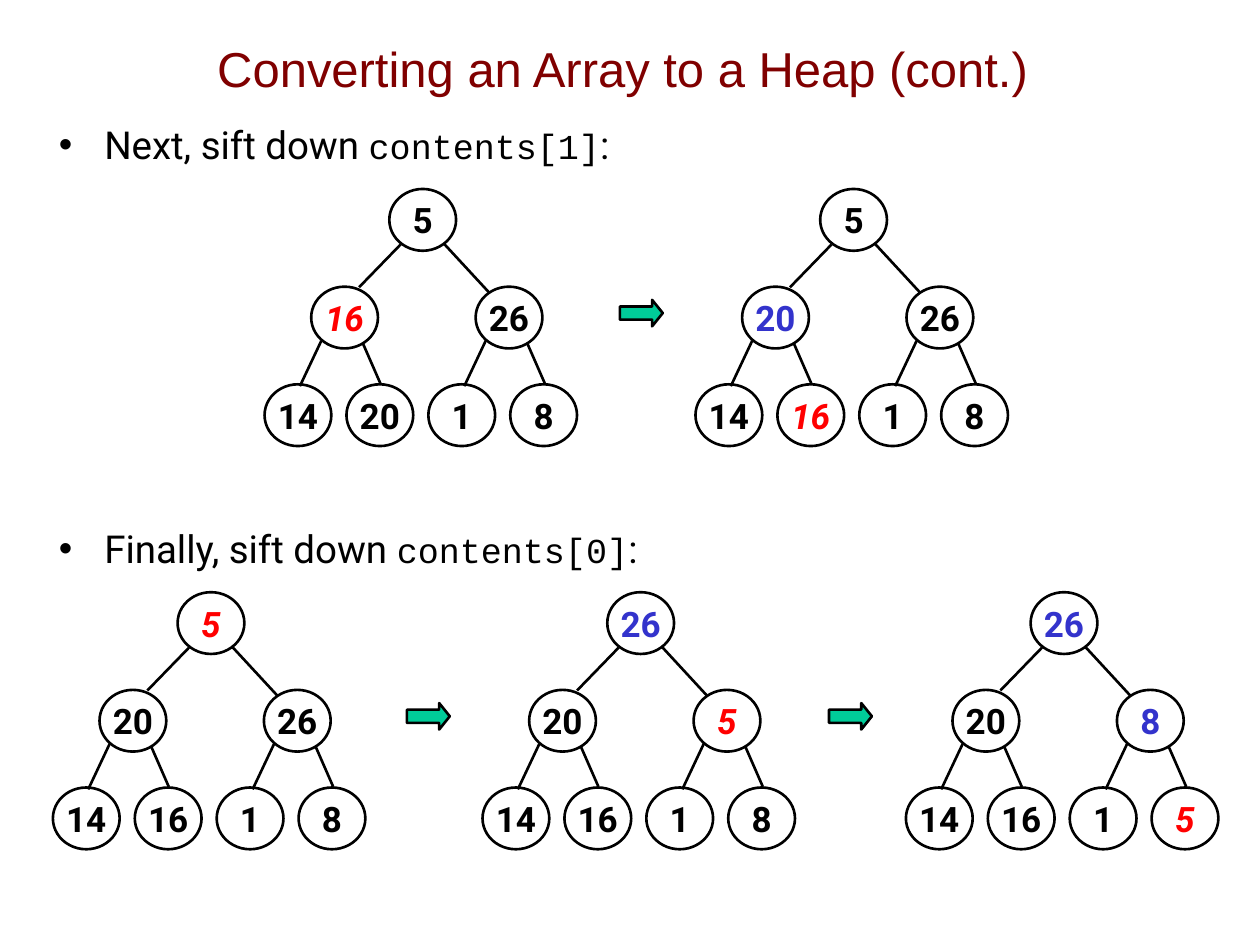
from lxml import etree
from pptx import Presentation
from pptx import util as u
from pptx.dml.color import RGBColor
from pptx.enum import shapes, text
from pptx.oxml.ns import qn

WIDTH, HEIGHT = 10, 7.5
BLACK, RED, BLUE, GREEN, MAROON = "000000", "FF0000", "3333CC", "00CC99", "800000"
TITLE = "Converting an Array to a Heap (cont.)"
BULLETS = [
    (0, "Next, sift down ", "contents[1]", ":"),
    (204.5, "Finally, sift down ", "contents[0]", ":"),
]
STAGES = [
    {"top": 1.5, "lefts": [2.1, 5.52], "arrows": [4.92],
     "heaps": [
         {"values": [5, 16, 26, 14, 20, 1, 8], "sifted": 1, "raised": []},
         {"values": [5, 20, 26, 14, 16, 1, 8], "sifted": 4, "raised": [1]}]},
    {"top": 4.7, "lefts": [0.42, 3.83, 7.19], "arrows": [3.23, 6.58],
     "heaps": [
         {"values": [5, 20, 26, 14, 16, 1, 8], "sifted": 0, "raised": []},
         {"values": [26, 20, 5, 14, 16, 1, 8], "sifted": 2, "raised": [0]},
         {"values": [26, 20, 8, 14, 16, 1, 5], "sifted": 6, "raised": [0, 2]}]},
]
NODE_WIDTH, NODE_HEIGHT = 0.53, 0.49
LEVEL_STEP = 0.775
LEVELS = [(0.99, 0), (0.37, 1.305), (0, 0.65)]
EDGES = [
    [((0.09, 0.44), (-0.24, 0.78)), ((0.43, 0.43), (0.79, 0.82))],
    [((0.08, 0.43), (-0.09, 0.79)), ((0.41, 0.45), (0.55, 0.77))],
]
ARROW_DROP, ARROW_WIDTH, ARROW_HEIGHT = 0.88, 0.34, 0.21


def color(value):
    return RGBColor.from_string(value)


def inches(*values):
    return [u.Inches(value) for value in values]


def add_span(para, words, hue=BLACK, **formats):
    span = para.add_run()
    span.text = words
    for name, value in formats.items():
        setattr(span.font, name, value)
    span.font.color.rgb = color(hue)


def set_frame(frame, **formats):
    for name, value in formats.items():
        setattr(frame, name, value)


def set_outline(line):
    line.color.rgb = color(BLACK)
    line.width = u.Pt(1.5)


def add_shape(page, kind, fill, *place):
    shape = page.shapes.add_shape(kind, *inches(*place))
    shape.shadow.inherit = False
    if fill:
        shape.fill.solid()
        shape.fill.fore_color.rgb = color(fill)
    else:
        shape.fill.background()
    set_outline(shape.line)
    return shape


def add_edge(page, start, end):
    edge = page.shapes.add_connector(
        shapes.MSO_CONNECTOR.STRAIGHT, *inches(*start, *end))
    set_outline(edge.line)
    etree.SubElement(edge._element.spPr, qn("a:effectLst"))


def add_node(page, left, top, value, hue, italic):
    node = add_shape(page, shapes.MSO_SHAPE.OVAL, None,
                     left, top, NODE_WIDTH, NODE_HEIGHT)
    frame = node.text_frame
    set_frame(frame, margin_left=0, margin_right=0, margin_top=0, margin_bottom=0,
              word_wrap=False, vertical_anchor=text.MSO_ANCHOR.MIDDLE)
    para = frame.paragraphs[0]
    para.alignment = text.PP_ALIGN.CENTER
    add_span(para, str(value), hue, name="Roboto", size=u.Pt(20),
             bold=True, italic=italic)


def add_heap(page, left, top, heap):
    for index, value in enumerate(heap["values"]):
        level = (index + 1).bit_length() - 1
        column = index + 1 - 2 ** level
        first, step = LEVELS[level]
        x, y = left + first + step * column, top + LEVEL_STEP * level
        sifted = index == heap["sifted"]
        hue = RED if sifted else BLUE if index in heap["raised"] else BLACK
        add_node(page, x, y, value, hue, sifted)
        if level < len(EDGES):
            for start, end in EDGES[level]:
                add_edge(page, (x + start[0], y + start[1]), (x + end[0], y + end[1]))


def add_title(page):
    title = page.shapes.title
    title.left, title.top, title.width, title.height = inches(0.64, 0.07, 8.6, 0.93)
    set_frame(title.text_frame, word_wrap=True, auto_size=text.MSO_AUTO_SIZE.NONE,
              vertical_anchor=text.MSO_ANCHOR.MIDDLE)
    para = title.text_frame.paragraphs[0]
    para.alignment = text.PP_ALIGN.CENTER
    add_span(para, TITLE, MAROON, name="Arial", size=u.Pt(28))


def add_bullets(page):
    box = page.shapes.add_textbox(*inches(0.37, 0.91, 9.63, 6.14))
    frame = box.text_frame
    set_frame(frame, word_wrap=True, auto_size=text.MSO_AUTO_SIZE.NONE)
    for index, (gap, lead, code, tail) in enumerate(BULLETS):
        para = frame.add_paragraph() if index else frame.paragraphs[0]
        para.space_before = u.Pt(gap)
        properties = para._p.get_or_add_pPr()
        properties.set("marL", str(u.Inches(0.36)))
        properties.set("indent", str(u.Inches(-0.36)))
        hue = etree.SubElement(properties, qn("a:buClr"))
        etree.SubElement(hue, qn("a:srgbClr"), val=BLACK)
        etree.SubElement(properties, qn("a:buFont"), typeface="Arial")
        etree.SubElement(properties, qn("a:buChar"), char="•")
        for words, font, size in [(lead, "Roboto", 22), (code, "Courier New", 20),
                                  (tail, "Roboto", 22)]:
            add_span(para, words, name=font, size=u.Pt(size))


def main():
    deck = Presentation()
    deck.slide_width, deck.slide_height = inches(WIDTH, HEIGHT)
    page = deck.slides.add_slide(deck.slide_layouts.get_by_name("Title Only"))
    add_title(page)
    add_bullets(page)
    for stage in STAGES:
        for left, heap in zip(stage["lefts"], stage["heaps"]):
            add_heap(page, left, stage["top"], heap)
        for left in stage["arrows"]:
            arrow = add_shape(page, shapes.MSO_SHAPE.RIGHT_ARROW, GREEN, left,
                              stage["top"] + ARROW_DROP, ARROW_WIDTH, ARROW_HEIGHT)
            arrow.adjustments[1] = 0.4
    deck.save("out.pptx")


if __name__ == "__main__":
    main()
